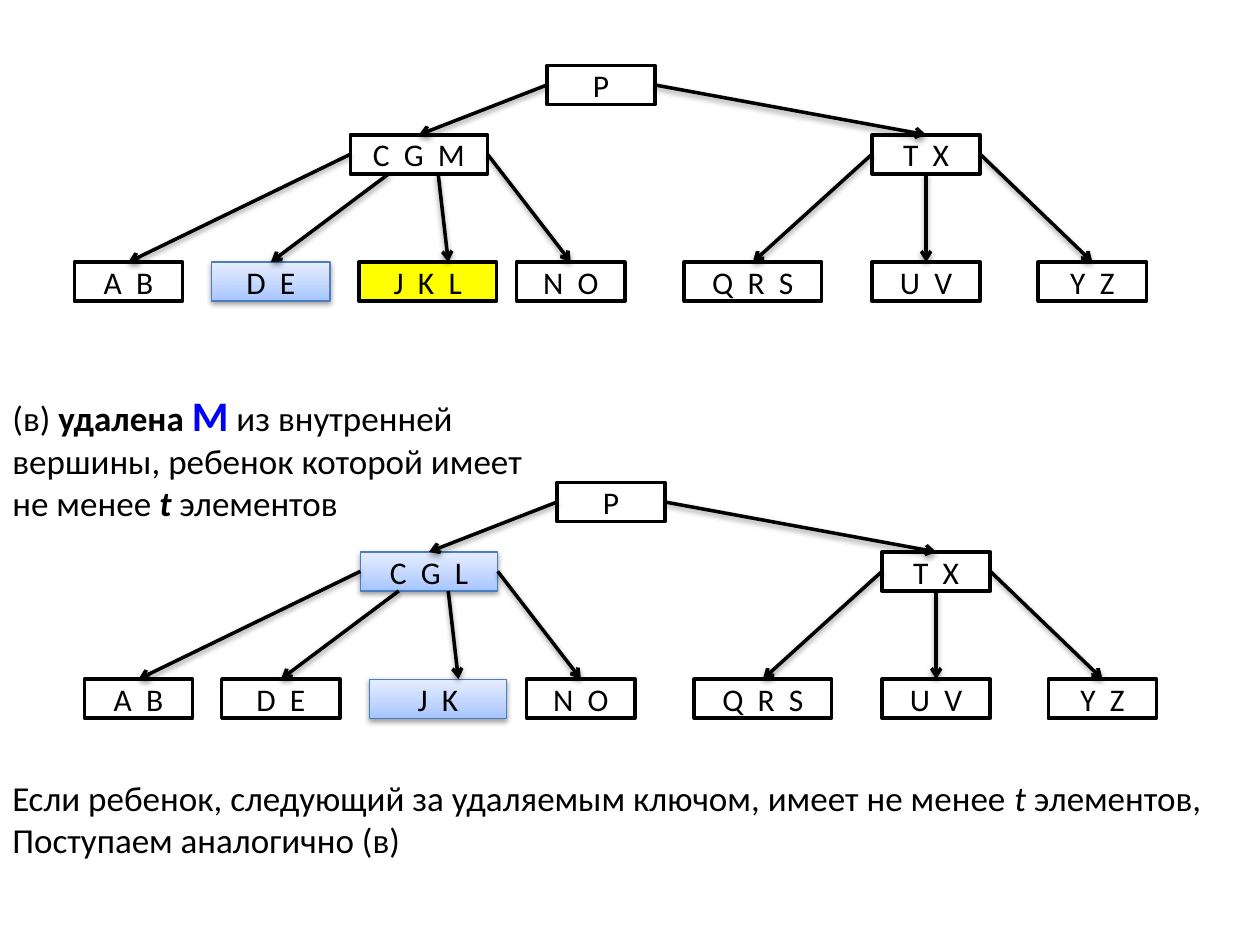
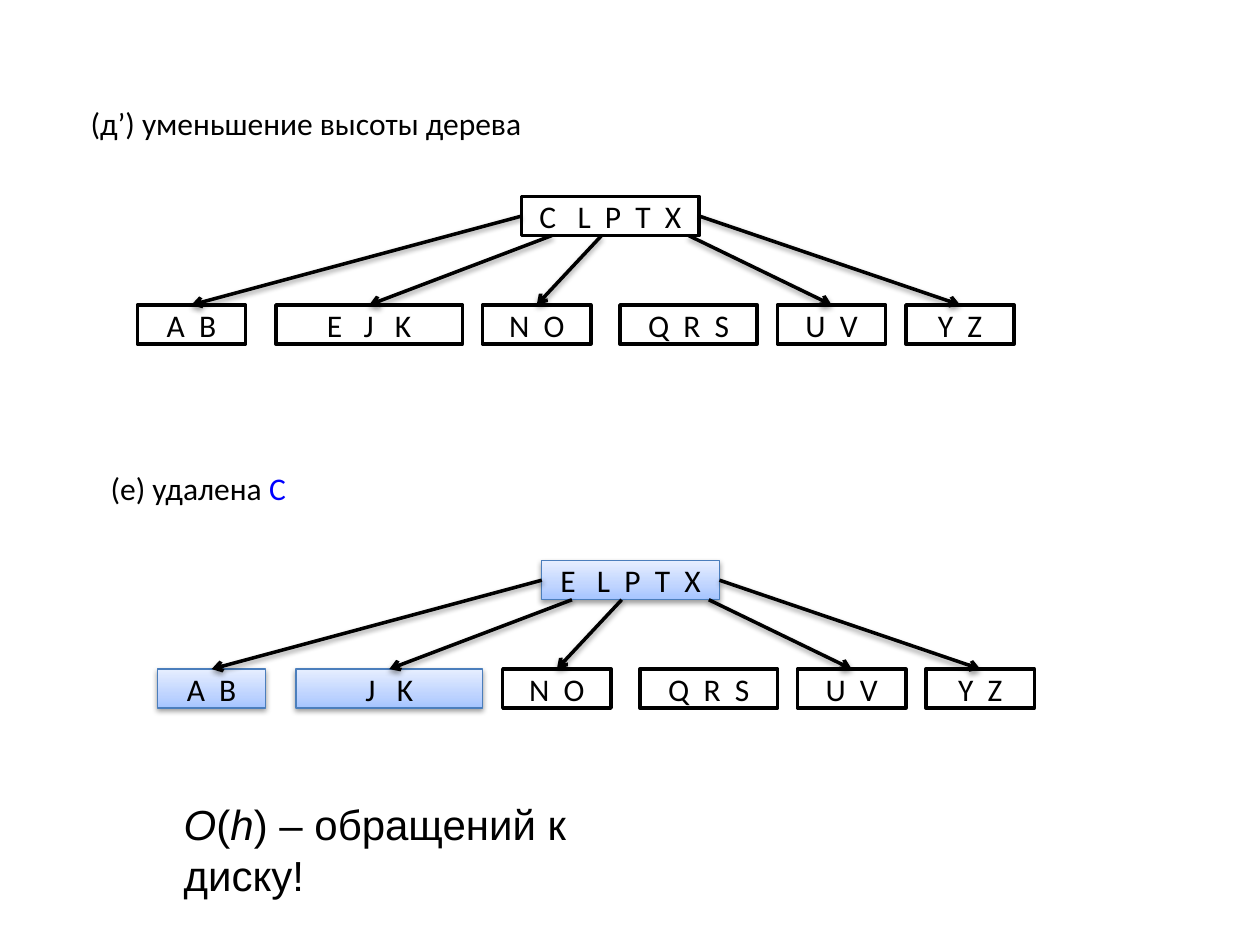
from collections import namedtuple

from lxml.etree import SubElement as Sub
from pptx import Presentation
from pptx.dml.color import RGBColor as Rgb
from pptx.enum.shapes import MSO_CONNECTOR as Link, MSO_SHAPE as Shape
from pptx.enum.text import MSO_ANCHOR as Anchor, MSO_AUTO_SIZE as Auto, PP_ALIGN as Align
from pptx.oxml.ns import qn
from pptx.util import Inches, Pt

BLACK, WHITE, BLUE, YELLOW = "000000", "FFFFFF", "0000FF", "FFFF00"
EDGE = "4B7EBC"
SKY = ((0, "A4C4FF"), (35, "BFD4FF"), (100, "E6EEFF"))
HIGH = 0.31
SMALL, WIDE = 0.86, 1.09

Box = namedtuple("Box", "left top width")


def color(code):
    return Rgb.from_string(code)


def add_shadow(item):
    props = item._element.spPr
    effects = props.find(qn("a:effectLst"))
    if effects is None:
        effects = Sub(props, qn("a:effectLst"))
    outer = Sub(effects, qn("a:outerShdw"), blurRad="40000", dist="20000",
                dir="5400000", rotWithShape="0")
    tint = Sub(outer, qn("a:srgbClr"), val=BLACK)
    Sub(tint, qn("a:alpha"), val="38000")


class Deck:
    def __init__(self):
        self.show = Presentation()
        self.show.slide_width = Inches(10)
        self.show.slide_height = Inches(7.5)
        self.font = "Calibri"
        self.size = 18

    def slide(self):
        self.page = self.show.slides.add_slide(self.show.slide_layouts[6])
        self.top_level()

    def top_level(self):
        self.items = self.page.shapes

    def group(self):
        self.items = self.page.shapes.add_group_shape().shapes

    def style(self, run, size=None, font=None, ink=BLACK, bold=False, italic=False):
        run.font.name = font or self.font
        run.font.size = Pt(size or self.size)
        run.font.color.rgb = color(ink)
        run.font.bold = bold
        run.font.italic = italic

    def node(self, label, left, top, width, fill=WHITE):
        shape = self.items.add_shape(Shape.RECTANGLE, Inches(left), Inches(top),
                                     Inches(width), Inches(HIGH))
        shape.shadow.inherit = False
        shaded = fill == SKY
        if shaded:
            self.shade(shape)
            add_shadow(shape)
        else:
            shape.fill.solid()
            shape.fill.fore_color.rgb = color(fill)
        shape.line.color.rgb = color(EDGE if shaded else BLACK)
        shape.line.width = Pt(0.75 if shaded else 2)
        frame = shape.text_frame
        frame.text = label
        frame.vertical_anchor = Anchor.MIDDLE
        line = frame.paragraphs[0]
        line.alignment = Align.CENTER
        self.style(line.runs[0])
        return Box(left, top, width)

    def shade(self, shape):
        shape.fill.gradient()
        shape.fill.gradient_angle = 90
        stops = shape._element.spPr.find(qn("a:gradFill")).find(qn("a:gsLst"))
        for stop in list(stops):
            stops.remove(stop)
        for place, code in SKY:
            stop = Sub(stops, qn("a:gs"), pos=str(place * 1000))
            Sub(stop, qn("a:srgbClr"), val=code)

    def arrow(self, start, share, end, aim=0.5):
        drop = HIGH / 2 if share in (0, 1) else HIGH
        line = self.items.add_connector(
            Link.STRAIGHT,
            Inches(start.left + share * start.width), Inches(start.top + drop),
            Inches(end.left + aim * end.width), Inches(end.top))
        line.line.color.rgb = color(BLACK)
        line.line.width = Pt(2)
        Sub(line.line._get_or_add_ln(), qn("a:tailEnd"), type="arrow")
        add_shadow(line)

    def text(self, left, top, width, height, *lines, **look):
        box = self.items.add_textbox(Inches(left), Inches(top),
                                     Inches(width), Inches(height))
        frame = box.text_frame
        frame.word_wrap = False
        frame.auto_size = Auto.SHAPE_TO_FIT_TEXT
        for index, parts in enumerate(lines):
            line = frame.add_paragraph() if index else frame.paragraphs[0]
            for words, extra in parts:
                run = line.add_run()
                run.text = words
                self.style(run, **{**look, **extra})


def tall_tree(deck, dx, dy, inner, third, marks):
    def put(label, left, top, width=SMALL):
        return deck.node(label, left + dx, top + dy, width, marks.get(label, WHITE))

    deck.group()
    root = put("P", 4.34, 0.52)
    west = put(inner, 2.78, 1.07, WIDE)
    east = put("T  X", 6.92, 1.07)
    leaves = [put(label, left, 2.08, width) for label, left, width in (
        ("A  B", 0.59, SMALL), ("D  E", 1.68, 0.94), (third, 2.85, WIDE),
        ("N  O", 4.1, SMALL), ("Q  R  S", 5.43, WIDE), ("U  V", 6.92, SMALL),
        ("Y  Z", 8.24, SMALL))]
    deck.arrow(root, 0, west)
    deck.arrow(root, 1, east)
    for share, leaf, aim in zip((0, 0.28, 0.64, 1), leaves, (0.5, 0.5, 0.65, 0.5)):
        deck.arrow(west, share, leaf, aim)
    for share, leaf in zip((0, 0.5, 1), leaves[4:]):
        deck.arrow(east, share, leaf)


def flat_tree(deck, dx, dy, top_keys, second, marks):
    def put(label, left, top, width):
        return deck.node(label, left + dx, top + dy, width, marks.get(label, WHITE))

    deck.group()
    root = put(top_keys, 4.14, 1.56, 1.41)
    leaves = [put(label, left, 2.42, width) for label, left, width in (
        ("A  B", 1.09, SMALL), (second, 2.19, 1.48), ("N  O", 3.83, SMALL),
        ("Q  R  S", 4.92, WIDE), ("U  V", 6.17, SMALL), ("Y  Z", 7.19, SMALL))]
    for share, index in ((0, 0), (0.17, 1), (0.45, 2), (0.94, 4), (1, 5)):
        deck.arrow(root, share, leaves[index])


def main():
    deck = Deck()

    deck.slide()
    tall_tree(deck, 0, 0, "C  G  M", "J  K  L", {"D  E": SKY, "J  K  L": YELLOW})
    tall_tree(deck, 0.08, 3.31, "C  G  L", "J  K", {"C  G  L": SKY, "J  K": SKY})
    deck.top_level()
    deck.text(0, 3.04, 4.31, 1.47,
              [("(в) ", {}), ("удалена ", {"bold": True}),
               ("M", {"bold": True, "size": 24, "ink": BLUE}), (" из внутренней", {})],
              [("вершины, ребенок которой имеет", {})],
              [("не менее ", {}), ("t ", {"bold": True, "italic": True}),
               ("элементов", {})], size=20)
    deck.text(0, 6.11, 9.66, 0.77,
              [("Если ребенок, следующий за удаляемым ключом, имеет не менее ", {}),
               ("t", {"italic": True}), (" элементов,", {})],
              [("Поступаем аналогично (в)", {})], size=20)

    deck.slide()
    flat_tree(deck, 0, 0, "C   L  P  T  X", "E   J   K", {})
    deck.text(0.62, 0.78, 3.98, 0.4, [("(д’) уменьшение высоты дерева", {})])
    flat_tree(deck, 0.16, 2.89, "E   L  P  T  X", "J   K",
              {"E   L  P  T  X": SKY, "A  B": SKY, "J   K": SKY})
    deck.text(0.78, 3.67, 1.6, 0.4, [("(е) удалена ", {}), ("C", {"ink": BLUE})])
    deck.top_level()
    deck.text(1.36, 6.29, 4.28, 0.5,
              [("O", {"italic": True}), ("(", {}), ("h", {"italic": True}),
               (") – обращений к диску!", {})], size=24, font="Arial")

    deck.show.save("out.pptx")


if __name__ == "__main__":
    main()
